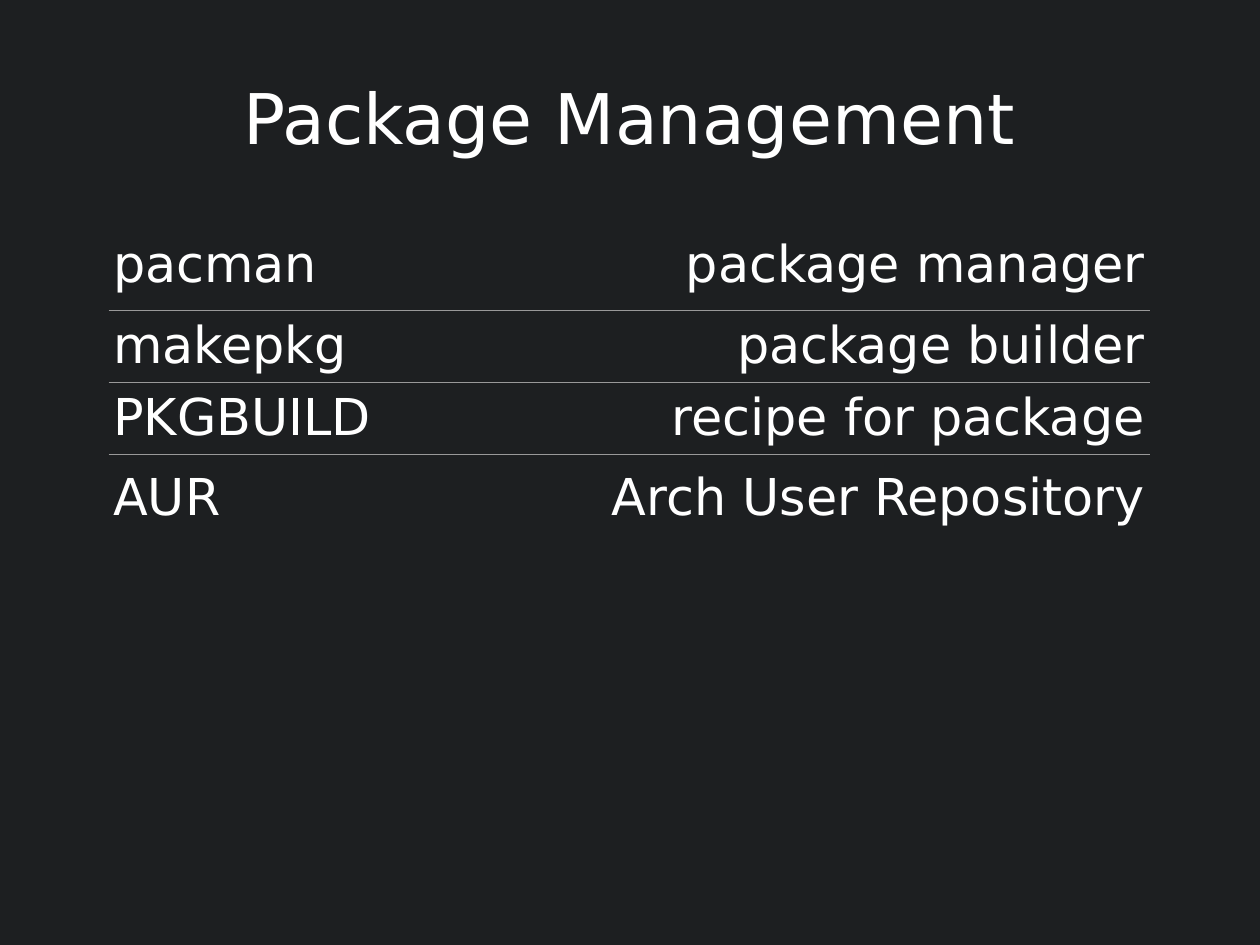
from lxml import etree
from pptx import Presentation
from pptx.dml.color import RGBColor
from pptx.enum.text import MSO_ANCHOR, PP_ALIGN
from pptx.oxml.ns import qn
from pptx.util import Emu, Inches, Pt

LEFT, CENTER, RIGHT = PP_ALIGN.LEFT, PP_ALIGN.CENTER, PP_ALIGN.RIGHT
MIDDLE = MSO_ANCHOR.MIDDLE
FONT = "DejaVu Sans"
COLORS = {"background": "1D1F21", "text": "FFFFFF", "rule": "999999"}
PLAIN_TABLE_STYLE = "{2D5ABB26-0587-4C30-8999-92F81FD0307C}"
SLIDE_WIDTH, SLIDE_HEIGHT = Emu(10080625), Emu(7559675)
RULE_WIDTH = Pt(0.06)
TOOLS = [
    ("pacman", "package manager"),
    ("makepkg", "package builder"),
    ("PKGBUILD", "recipe for package"),
    ("AUR", "Arch User Repository"),
]
COLUMN_WIDTHS = [4.21, 4.9]
ROW_HEIGHTS = [0.78, 0.63, 0.63, 0.78]


def write_text(text_frame, text, size, alignment):
    """Write one aligned run in the slide's font."""
    paragraph = text_frame.paragraphs[0]
    paragraph.alignment = alignment
    run = paragraph.add_run()
    run.text = text
    run.font.name = FONT
    run.font.size = Pt(size)
    run.font.color.rgb = RGBColor.from_string(COLORS["text"])


def add_border(cell, tag):
    """Draw a thin rule on one side of a cell."""
    properties = cell._tc.get_or_add_tcPr()
    line = etree.SubElement(properties, qn(tag), w=str(RULE_WIDTH))
    fill = etree.SubElement(line, qn("a:solidFill"))
    etree.SubElement(fill, qn("a:srgbClr"), val=COLORS["rule"])


def add_title(slide, left, top, width, height):
    """Place the centred slide title in the given box."""
    title = slide.shapes.title
    title.left, title.top = Inches(left), Inches(top)
    title.width, title.height = Inches(width), Inches(height)
    frame = title.text_frame
    frame.margin_left = frame.margin_right = 0
    frame.margin_top = frame.margin_bottom = 0
    frame.vertical_anchor = MIDDLE
    write_text(frame, "Package Management", 44, CENTER)


def add_tool_table(slide, left, top):
    """Place the table of tools with rules between its rows."""
    table = slide.shapes.add_table(
        len(TOOLS), len(COLUMN_WIDTHS), Inches(left), Inches(top),
        Inches(sum(COLUMN_WIDTHS)), Inches(sum(ROW_HEIGHTS))).table
    table.first_row = table.horz_banding = False
    table._tbl.tblPr.find(qn("a:tableStyleId")).text = PLAIN_TABLE_STYLE
    for column, width in zip(table.columns, COLUMN_WIDTHS):
        column.width = Inches(width)
    for row_index, (row, height) in enumerate(zip(table.rows, ROW_HEIGHTS)):
        row.height = Inches(height)
        for cell, text, alignment in zip(row.cells, TOOLS[row_index], (LEFT, RIGHT)):
            cell.margin_left = cell.margin_right = Inches(0.04)
            cell.margin_top = cell.margin_bottom = Inches(0.05)
            cell.vertical_anchor = MIDDLE
            if row_index > 0:
                add_border(cell, "a:lnT")
            if row_index < len(TOOLS) - 1:
                add_border(cell, "a:lnB")
            cell.fill.background()
            write_text(cell.text_frame, text, 32, alignment)


def main():
    """Build and save the presentation."""
    presentation = Presentation()
    presentation.slide_width = SLIDE_WIDTH
    presentation.slide_height = SLIDE_HEIGHT
    slide = presentation.slides.add_slide(presentation.slide_layouts[5])
    background = slide.background.fill
    background.solid()
    background.fore_color.rgb = RGBColor.from_string(COLORS["background"])
    add_title(slide, 0.55, 0.33, 9.92, 1.38)
    add_tool_table(slide, 0.95, 1.93)
    presentation.save("out.pptx")


if __name__ == "__main__":
    main()
